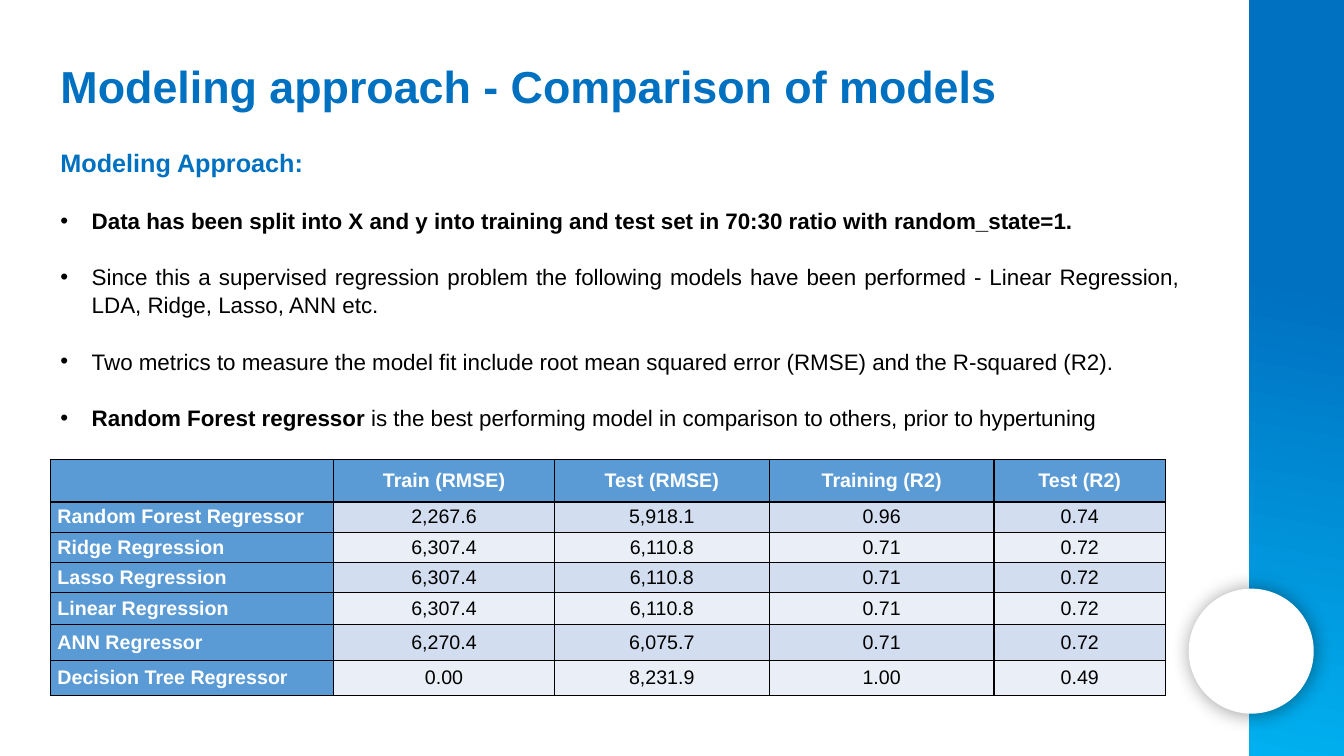
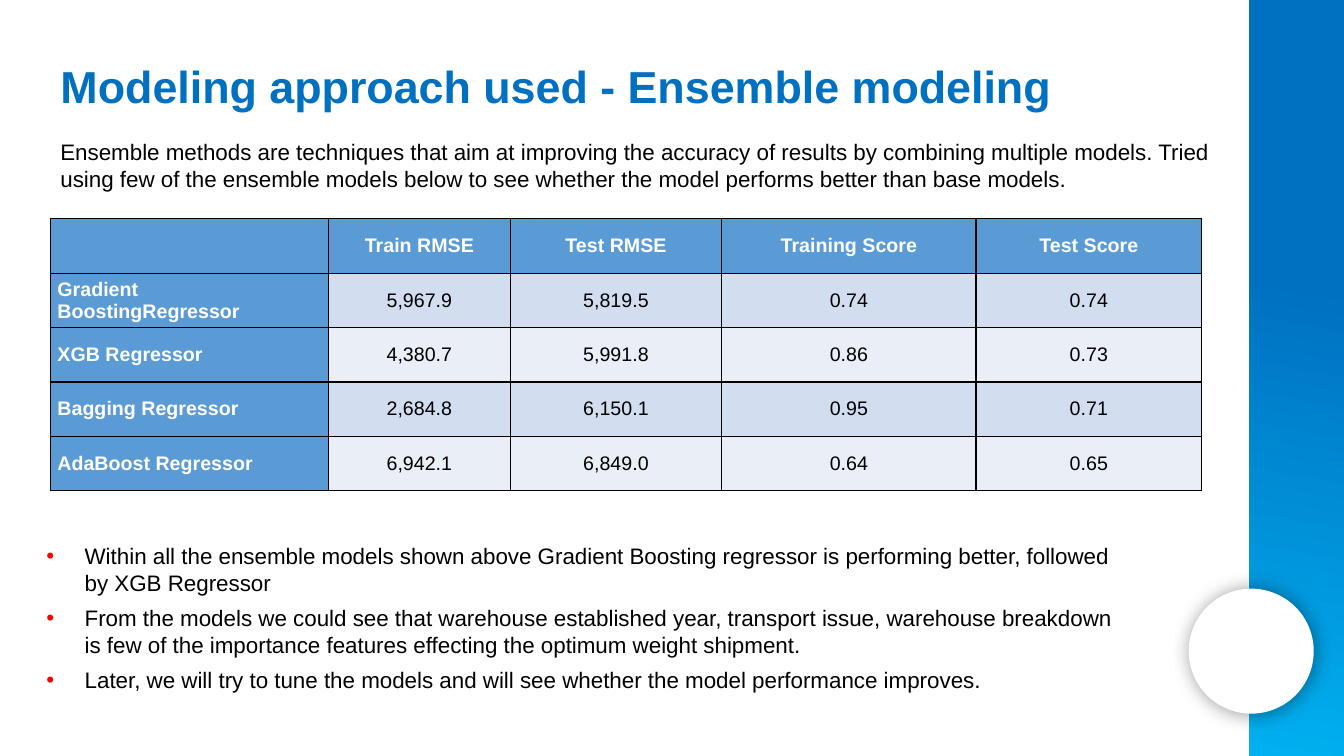
from dataclasses import dataclass

from lxml.etree import SubElement
from pptx import Presentation
from pptx.dml.color import RGBColor
from pptx.enum.shapes import MSO_SHAPE
from pptx.enum.text import MSO_ANCHOR, MSO_AUTO_SIZE, PP_ALIGN
from pptx.oxml.ns import qn
from pptx.util import Inches, Pt

# Shared look
FONT = "Arial"
BLUE = RGBColor(0x00, 0x70, 0xC0)
CYAN = RGBColor(0x00, 0xB0, 0xF0)
HEAD = RGBColor(0x5B, 0x9B, 0xD5)
BANDS = RGBColor(0xD2, 0xDE, 0xEF), RGBColor(0xEA, 0xEF, 0xF7)
BLACK = RGBColor(0x00, 0x00, 0x00)
WHITE = RGBColor(0xFF, 0xFF, 0xFF)
RED = RGBColor(0xFF, 0x00, 0x00)


@dataclass
class Box:
    left: float
    top: float
    width: float
    height: float

    def place(self) -> tuple:
        return tuple(Inches(n) for n in (self.left, self.top, self.width, self.height))


@dataclass
class Point:
    """A bulleted line, with an optional bold lead."""
    text: str = ""
    lead: str = ""


@dataclass
class Grid:
    left: float
    top: float
    cols: list[float]
    rows: list[float]
    cells: list[list[str]]


def write(para, text: str, *, lead: str = "", size: float = 16, color=BLACK,
          bold: bool = False, align=PP_ALIGN.LEFT, before: float = 0,
          lines: float = 1, indent: float = 0, dot=None) -> None:
    """Fill a paragraph; dot is the bullet colour, None for no bullet."""
    para.alignment = align
    para.space_before = Pt(before)
    para.line_spacing = lines
    for part, heavy in ((lead, True), (text, bold)):
        if part:
            run = para.add_run()
            run.text = part
            run.font.name, run.font.size, run.font.bold = FONT, Pt(size), heavy
            run.font.color.rgb = color
    props = para._p.get_or_add_pPr()
    props.set("marL", str(Inches(indent)))
    props.set("indent", str(-Inches(indent)))
    if dot is None:
        SubElement(props, qn("a:buNone"))
    else:
        tint = SubElement(props, qn("a:buClr"))
        SubElement(tint, qn("a:srgbClr"), val=str(dot))
        SubElement(props, qn("a:buChar"), char="•")


def set_frame(shape, box: Box):
    """Move a text shape and return its frame, wrapped and set at the top."""
    shape.left, shape.top, shape.width, shape.height = box.place()
    frame = shape.text_frame
    frame.word_wrap = True
    frame.auto_size = MSO_AUTO_SIZE.NONE
    frame.vertical_anchor = MSO_ANCHOR.TOP
    return frame


def add_points(frame, points: list[Point], **style) -> None:
    for point in points:
        first = frame.paragraphs[0]
        para = frame.add_paragraph() if first.runs else first
        write(para, point.text, lead=point.lead, **style)


def add_side(slide) -> None:
    """Draw the gradient band and the white disc."""
    band = slide.shapes.add_shape(MSO_SHAPE.RECTANGLE, *Box(12.39, 0, 0.94, 7.5).place())
    band.shadow.inherit = False
    band.line.fill.background()
    band.fill.gradient()
    band.fill.gradient_angle = 260
    for stop, color, spot in zip(band.fill.gradient_stops, (BLUE, CYAN), (0.37, 1)):
        stop.color.rgb, stop.position = color, spot

    disc = slide.shapes.add_shape(MSO_SHAPE.OVAL, *Box(11.79, 5.84, 1.24, 1.24).place())
    disc.shadow.inherit = False
    disc.line.fill.background()
    disc.fill.solid()
    disc.fill.fore_color.rgb = WHITE
    glow = SubElement(disc._element.spPr.find(qn("a:effectLst")), qn("a:outerShdw"),
                      blurRad=str(Pt(14)), dist=str(Pt(1)), dir=str(43 * 60000),
                      algn="ctr", rotWithShape="0")
    shade = SubElement(glow, qn("a:srgbClr"), val=str(BLACK))
    SubElement(shade, qn("a:alpha"), val="40000")


def add_base(deck, title: str):
    """Start a slide with its title and side art."""
    slide = deck.slides.add_slide(deck.slide_layouts[1])
    frame = set_frame(slide.shapes.title, Box(0.5, 0.53, 10.66, 0.64))
    write(frame.paragraphs[0], title, size=32, color=BLUE, bold=True)
    add_side(slide)
    return slide


def rule_cell(cell) -> None:
    props = cell._tc.get_or_add_tcPr()
    for side in ("lnL", "lnR", "lnT", "lnB"):
        line = SubElement(props, qn(f"a:{side}"), w=str(Pt(1)))
        fill = SubElement(line, qn("a:solidFill"))
        SubElement(fill, qn("a:srgbClr"), val=str(BLACK))


def add_grid(slide, grid: Grid) -> None:
    box = Box(grid.left, grid.top, sum(grid.cols), sum(grid.rows))
    table = slide.shapes.add_table(len(grid.rows), len(grid.cols), *box.place()).table
    for col, width in zip(table.columns, grid.cols):
        col.width = Inches(width)
    for row, height in zip(table.rows, grid.rows):
        row.height = Inches(height)
    for r, texts in enumerate(grid.cells):
        for c, text in enumerate(texts):
            cell = table.cell(r, c)
            key = r == 0 or c == 0
            cell.margin_left = cell.margin_right = Inches(0.07)
            cell.margin_top = cell.margin_bottom = 0
            cell.vertical_anchor = MSO_ANCHOR.MIDDLE
            rule_cell(cell)
            cell.fill.solid()
            cell.fill.fore_color.rgb = HEAD if key else BANDS[(r - 1) % 2]
            write(cell.text_frame.paragraphs[0], text, size=14, bold=key,
                  color=WHITE if key else BLACK,
                  align=PP_ALIGN.CENTER if c else PP_ALIGN.LEFT)


def add_models(deck) -> None:
    slide = add_base(deck, "Modeling approach - Comparison of models")
    frame = set_frame(slide.placeholders[1], Box(0.5, 1.4, 11.3, 2.94))
    write(frame.paragraphs[0], "Modeling Approach:", size=18, color=BLUE,
          bold=True, lines=1.05)
    add_points(frame, [
        Point(lead="Data has been split into X and y into training and test set in "
                   "70:30 ratio with random_state=1."),
        Point("Since this a supervised regression problem the following models have been "
              "performed - Linear Regression, LDA, Ridge, Lasso, ANN etc."),
        Point("Two metrics to measure the model fit include root mean squared error (RMSE) "
              "and the R-squared (R2)."),
        Point("is the best performing model in comparison to others, prior to hypertuning",
              lead="Random Forest regressor "),
    ], align=PP_ALIGN.JUSTIFY, before=20, lines=1.05, indent=0.31, dot=BLACK)
    add_grid(slide, Grid(
        0.5, 4.56, [2.81, 2.19, 2.13, 2.23, 1.7],
        [0.42, 0.3, 0.3, 0.3, 0.32, 0.35, 0.35], [
            ["", "Train (RMSE)", "Test (RMSE)", "Training (R2)", "Test (R2)"],
            ["Random Forest Regressor", "2,267.6", "5,918.1", "0.96", "0.74"],
            ["Ridge Regression", "6,307.4", "6,110.8", "0.71", "0.72"],
            ["Lasso Regression", "6,307.4", "6,110.8", "0.71", "0.72"],
            ["Linear Regression", "6,307.4", "6,110.8", "0.71", "0.72"],
            ["ANN Regressor", "6,270.4", "6,075.7", "0.71", "0.72"],
            ["Decision Tree Regressor", "0.00", "8,231.9", "1.00", "0.49"],
        ]))


def add_blends(deck) -> None:
    slide = add_base(deck, "Modeling approach used - Ensemble modeling")
    box = Box(0.5, 1.32, 11.92, 0.64)
    frame = set_frame(slide.shapes.add_textbox(*box.place()), box)
    write(frame.paragraphs[0],
          "Ensemble methods are techniques that aim at improving the accuracy of results by "
          "combining multiple models. Tried using few of the ensemble models below to see "
          "whether the model performs better than base models.")
    add_grid(slide, Grid(
        0.5, 2.17, [2.76, 1.8, 2.1, 2.52, 2.24], [0.54] * 5, [
            ["", "Train RMSE", "Test RMSE", "Training Score", "Test Score"],
            ["Gradient BoostingRegressor", "5,967.9", "5,819.5", "0.74", "0.74"],
            ["XGB Regressor", "4,380.7", "5,991.8", "0.86", "0.73"],
            ["Bagging Regressor", "2,684.8", "6,150.1", "0.95", "0.71"],
            ["AdaBoost Regressor", "6,942.1", "6,849.0", "0.64", "0.65"],
        ]))
    frame = set_frame(slide.placeholders[1], Box(0.36, 5.33, 10.94, 1.62))
    add_points(frame, [
        Point("Within all the ensemble models shown above Gradient Boosting regressor is "
              "performing better, followed by XGB Regressor"),
        Point("From the models we could see that warehouse established year, transport issue, "
              "warehouse breakdown is few of the importance features effecting the optimum "
              "weight shipment."),
        Point("Later, we will try to tune the models and will see whether the model "
              "performance improves."),
    ], before=6, indent=0.38, dot=RED)


def main() -> None:
    deck = Presentation()
    deck.slide_width, deck.slide_height = Inches(13.33), Inches(7.5)
    add_models(deck)
    add_blends(deck)
    deck.save("out.pptx")


if __name__ == "__main__":
    main()
